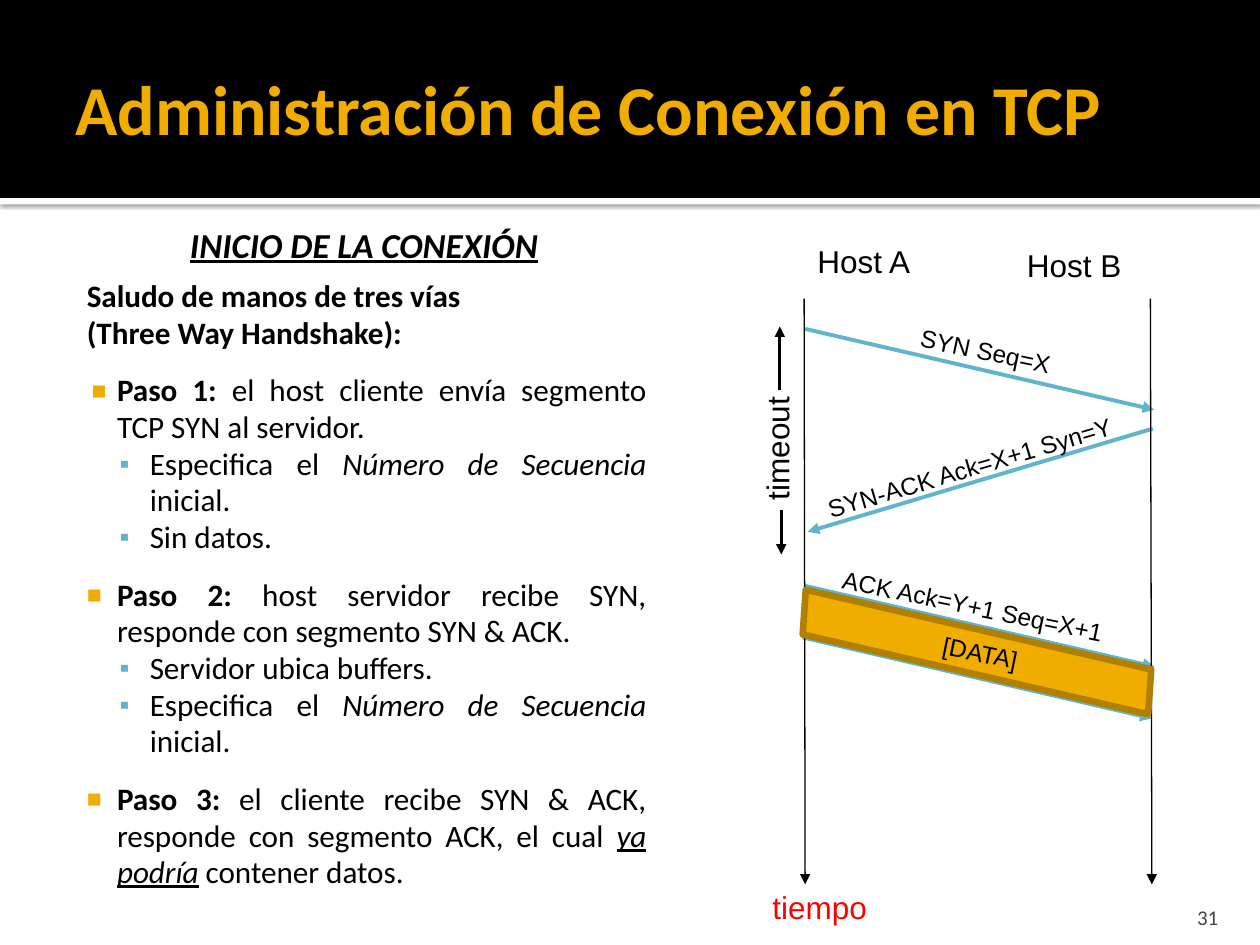
from dataclasses import dataclass

from lxml import etree
from pptx import Presentation
from pptx.dml.color import RGBColor
from pptx.enum.shapes import MSO_CONNECTOR, MSO_SHAPE
from pptx.enum.text import MSO_ANCHOR, PP_ALIGN
from pptx.oxml import parse_xml
from pptx.oxml.ns import nsdecls, qn
from pptx.util import Cm, Pt

RECT, PARALLELOGRAM = MSO_SHAPE.RECTANGLE, MSO_SHAPE.PARALLELOGRAM
STRAIGHT = MSO_CONNECTOR.STRAIGHT
TOP, MIDDLE, BOTTOM = MSO_ANCHOR.TOP, MSO_ANCHOR.MIDDLE, MSO_ANCHOR.BOTTOM
LEFT, RIGHT, JUSTIFY = PP_ALIGN.LEFT, PP_ALIGN.RIGHT, PP_ALIGN.JUSTIFY

COLORS = {
    "black": "000000", "white": "FFFFFF", "gold": "F0AD00", "dark_gold": "B28000",
    "blue": "60B5CC", "red": "FF0000", "gray": "454545",
}
SLIDE_W, SLIDE_H = 25.4, 19.05
BODY_SIZE = 17.8


@dataclass
class Label:
    text: str
    left: float
    top: float
    width: float
    height: float
    size: float = 18
    rotation: float = 0
    color: str = "black"
    font: str = "Arial"
    style: str = ""
    align: PP_ALIGN = LEFT
    anchor: MSO_ANCHOR = TOP
    insets: tuple[float, float, float, float] = (0.25, 0.13, 0.25, 0.13)
    wrap: bool = False


@dataclass
class Arrow:
    start: tuple[float, float]
    end: tuple[float, float]
    color: str
    width: float


@dataclass
class Level:
    margin: float
    indent: float
    space_before: float = 0
    bullet: str = ""
    color: str = ""
    percent: int = 100


@dataclass
class Item:
    level: Level
    runs: list[tuple[str, str]]  # text and style letters: b, i, u


HEADING = Level(1.22, -0.89)
FIRST_STEP = Level(0.94, -0.51, 12, "■", "gold", 80)
STEP = Level(0.94, -0.61, 12, "■", "gold", 80)
DETAIL = Level(1.6, -0.61, 0, "▪", "blue", 90)

ITEMS = [
    Item(HEADING, [("Saludo de manos de tres vías", "b")]),
    Item(HEADING, [("(Three Way Handshake):", "b")]),
    Item(FIRST_STEP, [("Paso 1: ", "b"),
                      ("el host cliente envía segmento TCP SYN al servidor.", "")]),
    Item(DETAIL, [("Especifica el ", ""), ("Número de Secuencia", "i"), (" inicial.", "")]),
    Item(DETAIL, [("Sin datos.", "")]),
    Item(STEP, [("Paso 2:", "b"),
                (" host servidor recibe SYN, responde con segmento SYN & ACK.", "")]),
    Item(DETAIL, [("Servidor ubica buffers.", "")]),
    Item(DETAIL, [("Especifica el ", ""), ("Número de Secuencia ", "i"), ("inicial.", "")]),
    Item(STEP, [("Paso 3:", "b"),
                (" el cliente recibe SYN & ACK, responde con segmento ACK, el cual ", ""),
                ("ya podría", "iu"), (" contener datos.", "")]),
]

HEADER_LABELS = [
    Label("Administración de Conexión en TCP", 1.27, 0.43, 22.86, 3.48, 40, color="gold",
          font="Calibri", style="b", anchor=MIDDLE, insets=(0.25, 0.13, 0.13, 0.13), wrap=True),
    Label("INICIO DE LA CONEXIÓN", 3.58, 4.37, 8.05, 1.12, 20, font="Calibri", style="biu"),
    Label("31", 22.78, 17.98, 2.03, 0.76, 12, color="gray", font="Calibri", align=RIGHT,
          anchor=BOTTOM, insets=(0.25, 0.13, 0.25, 0), wrap=True),
]
DIAGRAM_LABELS = [
    Label("Host A", 16.23, 4.75, 2.41, 1.02),
    Label("Host B", 20.45, 4.83, 2.44, 1.02),
    Label("timeout", 14.35, 8.51, 2.62, 1.02, rotation=270),
    Label("tiempo", 15.32, 17.78, 2.44, 1.02, color="red"),
    Label("SYN Seq=X", 18.29, 6.65, 3.2, 0.86, 14, 11.8),
    Label("SYN-ACK Ack=X+1 Syn=Y", 16.33, 8.99, 6.48, 0.86, 14, 343.6),
    Label("ACK Ack=Y+1 Seq=X+1", 16.69, 11.79, 5.89, 0.86, 14, 11.8),
    Label("[DATA]", 18.75, 12.73, 2.06, 0.86, 14, 11.8),
]
ARROWS = [
    Arrow((23.24, 8.64), (16.28, 10.72), "blue", 2.25),
    Arrow((16.23, 6.63), (23.27, 8.26), "blue", 2.25),
    Arrow((16.23, 11.81), (23.27, 13.44), "blue", 2.25),
    Arrow((16.18, 12.85), (23.22, 14.48), "blue", 2.25),
    Arrow((16.21, 6.02), (16.23, 17.83), "black", 0.75),
    Arrow((23.19, 6.02), (23.22, 17.83), "black", 0.75),
    Arrow((15.72, 7.87), (15.72, 6.58), "black", 1.5),
    Arrow((15.75, 10.29), (15.75, 11.18), "black", 1.5),
]


def rgb(name: str) -> RGBColor:
    return RGBColor.from_string(COLORS[name])


def format_run(r, font: str, size: float, color: str, style: str) -> None:
    r.font.name, r.font.size = font, Pt(size)
    r.font.color.rgb = rgb(color)
    r.font.bold, r.font.italic, r.font.underline = (key in style for key in "biu")


def set_insets(tf, insets: tuple[float, float, float, float]) -> None:
    tf.margin_left, tf.margin_top, tf.margin_right, tf.margin_bottom = map(Cm, insets)


def add_label(s, label: Label) -> None:
    box = s.shapes.add_textbox(Cm(label.left), Cm(label.top), Cm(label.width), Cm(label.height))
    box.rotation = label.rotation
    tf = box.text_frame
    tf.word_wrap, tf.vertical_anchor = label.wrap, label.anchor
    set_insets(tf, label.insets)
    tf.text = label.text
    p = tf.paragraphs[0]
    p.alignment = label.align
    format_run(p.runs[0], label.font, label.size, label.color, label.style)


def add_arrow(s, arrow: Arrow) -> None:
    line = s.shapes.add_connector(STRAIGHT, *map(Cm, arrow.start + arrow.end))
    line.line.color.rgb, line.line.width = rgb(arrow.color), Pt(arrow.width)
    etree.SubElement(line.line._get_or_add_ln(), qn("a:tailEnd"), type="triangle")
    etree.SubElement(line._element.spPr, qn("a:effectLst"))


def add_filled(s, kind: MSO_SHAPE, left: float, top: float, width: float, height: float,
               color: str):
    shape = s.shapes.add_shape(kind, Cm(left), Cm(top), Cm(width), Cm(height))
    shape.shadow.inherit = False
    shape.fill.solid()
    shape.fill.fore_color.rgb = rgb(color)
    shape.line.fill.background()
    return shape


def add_header(s) -> None:
    strip = add_filled(s, RECT, 0, 3.99, SLIDE_W, 0.13, "white")
    strip._element.spPr.find(qn("a:effectLst")).append(parse_xml(
        f'<a:outerShdw {nsdecls("a")} blurRad="{Pt(2.5)}" dist="{Pt(0.8)}" dir="5400000" '
        f'algn="tl" rotWithShape="0"><a:srgbClr val="{COLORS["black"]}">'
        '<a:alpha val="60000"/></a:srgbClr></a:outerShdw>'))
    add_filled(s, RECT, 0, 0, SLIDE_W, 3.99, "black")


def add_data_block(s) -> None:
    block = add_filled(s, PARALLELOGRAM, 16.05, 12.7, 7.29, 0.89, "gold")
    block.adjustments[0] = 0.16
    block.rotation = 13
    block._element.spPr.xfrm.set("flipV", "1")
    block.line.color.rgb, block.line.width = rgb("dark_gold"), Pt(3.78)


def set_level(p, level: Level) -> None:
    """Apply indents, spacing and the bullet, if the level has one."""
    pPr = p._p.get_or_add_pPr()
    pPr.set("marL", str(Cm(level.margin)))
    pPr.set("indent", str(Cm(level.indent)))
    p.alignment, p.line_spacing, p.space_before = JUSTIFY, 0.98, Pt(level.space_before)
    if level.bullet:
        color = etree.SubElement(pPr, qn("a:buClr"))
        etree.SubElement(color, qn("a:srgbClr"), val=COLORS[level.color])
        etree.SubElement(pPr, qn("a:buSzPct"), val=str(level.percent * 1000))
        etree.SubElement(pPr, qn("a:buFont"), typeface="Arial")
        etree.SubElement(pPr, qn("a:buChar"), char=level.bullet)


def add_steps(s) -> None:
    tf = s.shapes.add_textbox(Cm(1.27), Cm(5.36), Cm(12.01), Cm(13.34)).text_frame
    tf.word_wrap = True
    set_insets(tf, (0.15, 0.25, 0.25, 0.13))
    for i, item in enumerate(ITEMS):
        p = tf.add_paragraph() if i else tf.paragraphs[0]
        set_level(p, item.level)
        for text, style in item.runs:
            r = p.add_run()
            r.text = text
            format_run(r, "Calibri", BODY_SIZE, "black", style)


def main() -> None:
    prs = Presentation()
    prs.slide_width, prs.slide_height = Cm(SLIDE_W), Cm(SLIDE_H)
    s = prs.slides.add_slide(prs.slide_layouts[6])
    add_header(s)
    add_steps(s)
    for arrow in ARROWS:
        add_arrow(s, arrow)
    add_data_block(s)
    for label in HEADER_LABELS + DIAGRAM_LABELS:
        add_label(s, label)
    prs.save("out.pptx")


if __name__ == "__main__":
    main()
